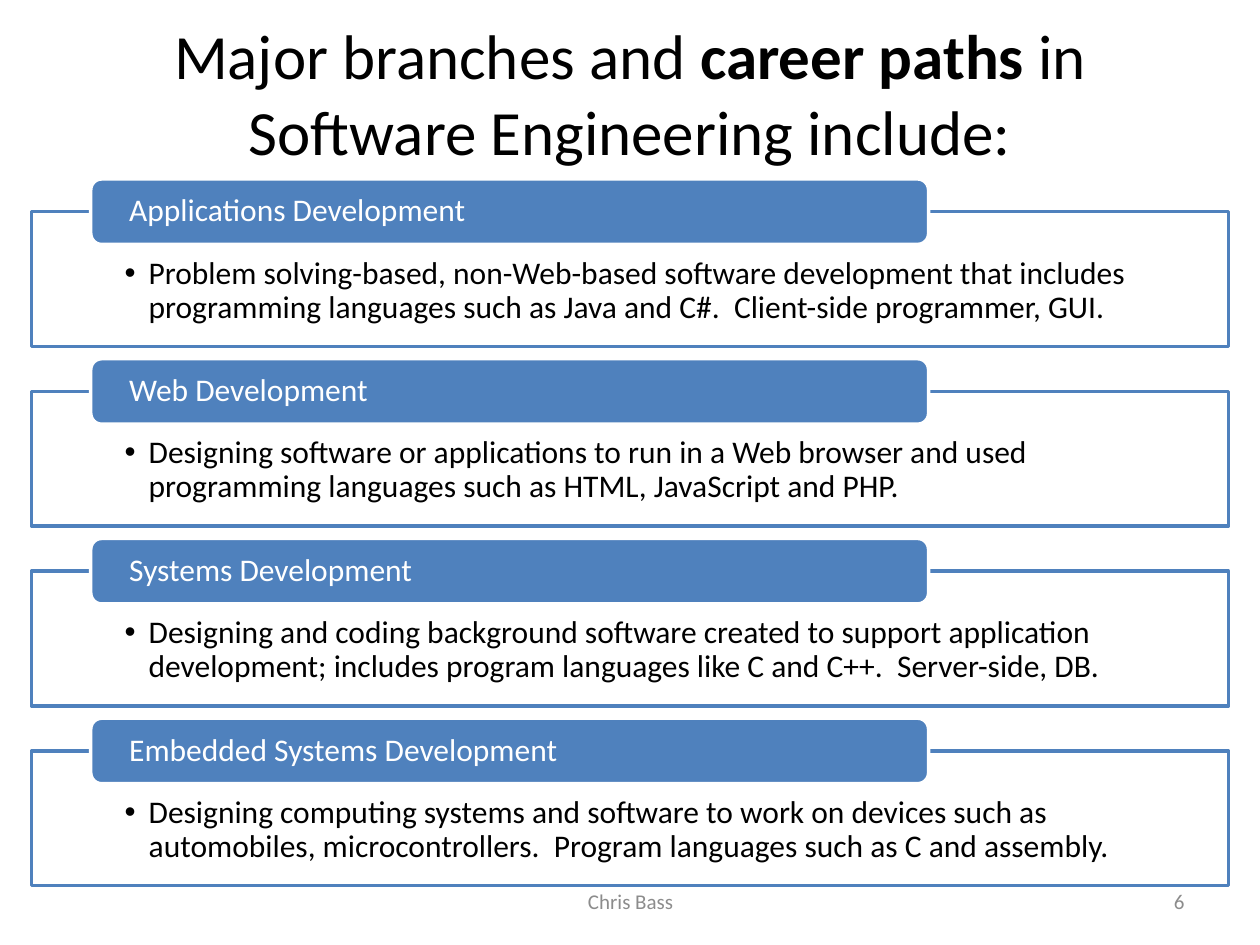
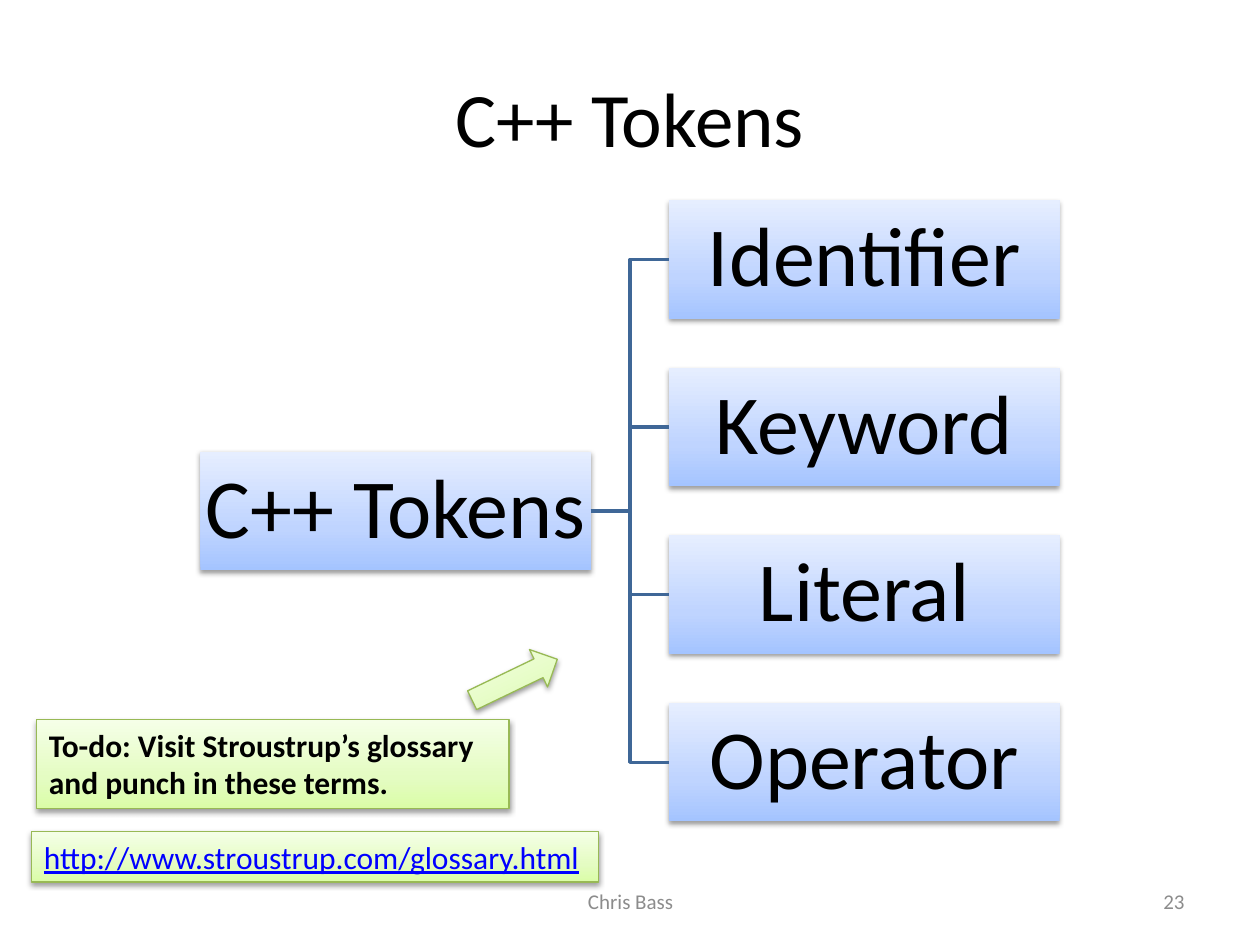
from lxml import etree
from pptx import Presentation
from pptx.dml.color import RGBColor
from pptx.enum.shapes import MSO_CONNECTOR, MSO_SHAPE
from pptx.enum.text import MSO_ANCHOR, PP_ALIGN
from pptx.oxml.ns import qn
from pptx.util import Inches, Pt

RECTANGLE = MSO_SHAPE.RECTANGLE
ROUNDED = MSO_SHAPE.ROUNDED_RECTANGLE
ARROW = MSO_SHAPE.RIGHT_ARROW
ELBOW = MSO_CONNECTOR.ELBOW
LEFT, CENTER, RIGHT = PP_ALIGN.LEFT, PP_ALIGN.CENTER, PP_ALIGN.RIGHT
TOP, MIDDLE = MSO_ANCHOR.TOP, MSO_ANCHOR.MIDDLE
LEFT_SIDE, RIGHT_SIDE = 1, 3

FONT = "Calibri"
COLORS = {
    "text": "000000",
    "white": "FFFFFF",
    "footer": "8C8C8C",
    "accent": "4F81BD",
    "branch": "3F6797",
    "link": "0000FF",
    "note_line": "98B955",
}
BLUE_GRADIENT = [(0, "A4C4FF"), (35, "BFD4FF"), (100, "E6EEFF")]
GREEN_GRADIENT = [(0, "DAFDA7"), (35, "E4FCC2"), (100, "F5FFE7")]

CAREERS = [
    ("Applications Development",
     "Problem solving-based, non-Web-based software development that includes "
     "programming languages such as Java and C#.  Client-side programmer, GUI."),
    ("Web Development",
     "Designing software or applications to run in a Web browser and used "
     "programming languages such as HTML, JavaScript and PHP."),
    ("Systems Development",
     "Designing and coding background software created to support application "
     "development; includes program languages like C and C++.  Server-side, DB."),
    ("Embedded Systems Development",
     "Designing computing systems and software to work on devices such as "
     "automobiles, microcontrollers.  Program languages such as C and assembly."),
]
TOKENS = ["Identifier", "Keyword", "Literal", "Operator"]


def rgb(name):
    return RGBColor.from_string(COLORS[name])


def add_element(parent, tag, **attributes):
    return etree.SubElement(parent, qn(tag), {key: str(value) for key, value in attributes.items()})


def write_text(shape, text, size=18, color="text", bold=False, underline=False, align=LEFT,
               anchor=TOP, insets=(0.1, 0.05, 0.1, 0.05), spacing=1.0, bullet=None, wrap=True):
    frame = shape.text_frame
    frame.word_wrap = wrap
    frame.vertical_anchor = anchor
    frame.margin_left, frame.margin_top, frame.margin_right, frame.margin_bottom = map(Inches, insets)
    paragraph = frame.paragraphs[0]
    paragraph.alignment = align
    paragraph.line_spacing = spacing
    if bullet:
        properties = paragraph._p.get_or_add_pPr()
        properties.set("marL", str(Inches(0.19)))
        properties.set("indent", str(-Inches(0.19)))
        add_element(properties, "a:buFont", typeface="Arial")
        add_element(properties, "a:buChar", char=bullet)
    runs = [(text, bold)] if isinstance(text, str) else text
    for run_text, run_bold in runs:
        run = paragraph.add_run()
        run.text = run_text
        run.font.name = FONT
        run.font.size = Pt(size)
        run.font.bold = run_bold
        run.font.underline = underline
        run.font.color.rgb = rgb(color)


def add_label(slide, box, text, **text_format):
    write_text(slide.shapes.add_textbox(*map(Inches, box)), text, anchor=MIDDLE, **text_format)


def add_box(slide, kind, box, fill, line=None, line_width=2.0):
    shape = slide.shapes.add_shape(kind, *map(Inches, box))
    shape.shadow.inherit = False
    if isinstance(fill, str):
        shape.fill.solid()
        shape.fill.fore_color.rgb = rgb(fill)
    else:
        shape.fill.gradient()
        shape.fill.gradient_angle = 90
        stops = shape._element.spPr.find(".//" + qn("a:gsLst"))
        stops.clear()
        for position, color in fill:
            add_element(add_element(stops, "a:gs", pos=position * 1000), "a:srgbClr", val=color)
        add_shadow(shape)
    if line:
        shape.line.color.rgb = rgb(line)
        shape.line.width = Pt(line_width)
    else:
        shape.line.fill.background()
    return shape


def add_shadow(shape):
    effects = shape._element.spPr.find(qn("a:effectLst"))
    shadow = add_element(effects, "a:outerShdw", blurRad=Pt(3.1), dist=Pt(1.6),
                         dir=5400000, rotWithShape=0)
    color = add_element(shadow, "a:srgbClr", val=COLORS["text"])
    add_element(color, "a:alpha", val=38000)


def add_slide(presentation, title, title_height, title_size, number):
    slide = presentation.slides.add_slide(presentation.slide_layouts[6])
    add_label(slide, (0.5, 0.3, 9, title_height), title, size=title_size, align=CENTER)
    add_label(slide, (3.42, 6.95, 3.17, 0.4), "Chris Bass", size=12, color="footer", align=CENTER)
    add_label(slide, (7.17, 6.95, 2.33, 0.4), number, size=12, color="footer", align=RIGHT)
    return slide


def add_career(slide, box, heading, description):
    left, top, width, height = box
    tab_rise = 0.26
    panel = add_box(slide, RECTANGLE, (left, top + tab_rise, width, height - tab_rise),
                    "white", "accent")
    panel_color = panel._element.spPr.find(qn("a:solidFill"))[0]
    add_element(panel_color, "a:alpha", val=90000)
    write_text(panel, description, insets=(0.74, 0.36, 0.74, 0.14), spacing=0.9, bullet="•")
    tab = add_box(slide, ROUNDED, (left + 0.47, top, width * 0.7, 2 * tab_rise), "accent", "white")
    write_text(tab, heading, color="white", anchor=MIDDLE, insets=(0.28, 0, 0.28, 0), spacing=0.9)


def add_career_list(slide, box):
    left, top, width, height = box
    career_height = 1.33
    pitch = (height - career_height) / (len(CAREERS) - 1)
    for index, (heading, description) in enumerate(CAREERS):
        add_career(slide, (left, top + index * pitch, width, career_height), heading, description)


def add_node(slide, left, top, width, height, text):
    node = add_box(slide, RECTANGLE, (left, top, width, height), BLUE_GRADIENT)
    write_text(node, text, size=48, align=CENTER, anchor=MIDDLE, insets=(0.03,) * 4, spacing=0.9)
    return node


def add_branch(slide, parent, child):
    branch = slide.shapes.add_connector(ELBOW, 0, 0, 0, 0)
    branch.begin_connect(parent, RIGHT_SIDE)
    branch.end_connect(child, LEFT_SIDE)
    branch.line.color.rgb = rgb("branch")
    branch.line.width = Pt(2)
    add_element(branch._element.spPr, "a:effectLst")


def add_token_tree(slide, box):
    left, top, width, height = box
    node_width, node_height = 3.1, 0.94
    pitch = (height - node_height) / (len(TOKENS) - 1)
    root = add_node(slide, left, top + (height - node_height) / 2,
                    node_width, node_height, "C++ Tokens")
    for index, token in enumerate(TOKENS):
        child = add_node(slide, left + width - node_width, top + index * pitch,
                         node_width, node_height, token)
        add_branch(slide, root, child)


def add_note(slide, box, kind=RECTANGLE):
    return add_box(slide, kind, box, GREEN_GRADIENT, "note_line", 0.75)


def add_glossary_notes(slide, left, top):
    link = add_note(slide, (left, top + 1.37, 4.5, 0.4))
    write_text(link, "http://www.stroustrup.com/glossary.html",
               color="link", underline=True, wrap=False)
    task = add_note(slide, (left + 0.04, top + 0.48, 3.75, 0.71))
    write_text(task, "To-do: Visit Stroustrup’s glossary and punch in these terms.", bold=True)
    arrow = add_note(slide, (left + 3.46, top, 0.75, 0.33), ARROW)
    arrow.rotation = 334.3


def build_careers_slide(presentation):
    title = [("Major branches and ", False), ("career paths", True),
             (" in Software Engineering include:", False)]
    slide = add_slide(presentation, title, 0.87, 36, "6")
    add_career_list(slide, (0.25, 1.42, 9.5, 5.61))


def build_tokens_slide(presentation):
    slide = add_slide(presentation, "C++ Tokens", 1.25, 44, "23")
    add_token_tree(slide, (1.59, 1.59, 6.82, 4.93))
    add_glossary_notes(slide, 0.25, 5.23)


def main():
    presentation = Presentation()
    presentation.slide_width = Inches(10)
    presentation.slide_height = Inches(7.5)
    build_careers_slide(presentation)
    build_tokens_slide(presentation)
    presentation.save("out.pptx")


if __name__ == "__main__":
    main()
